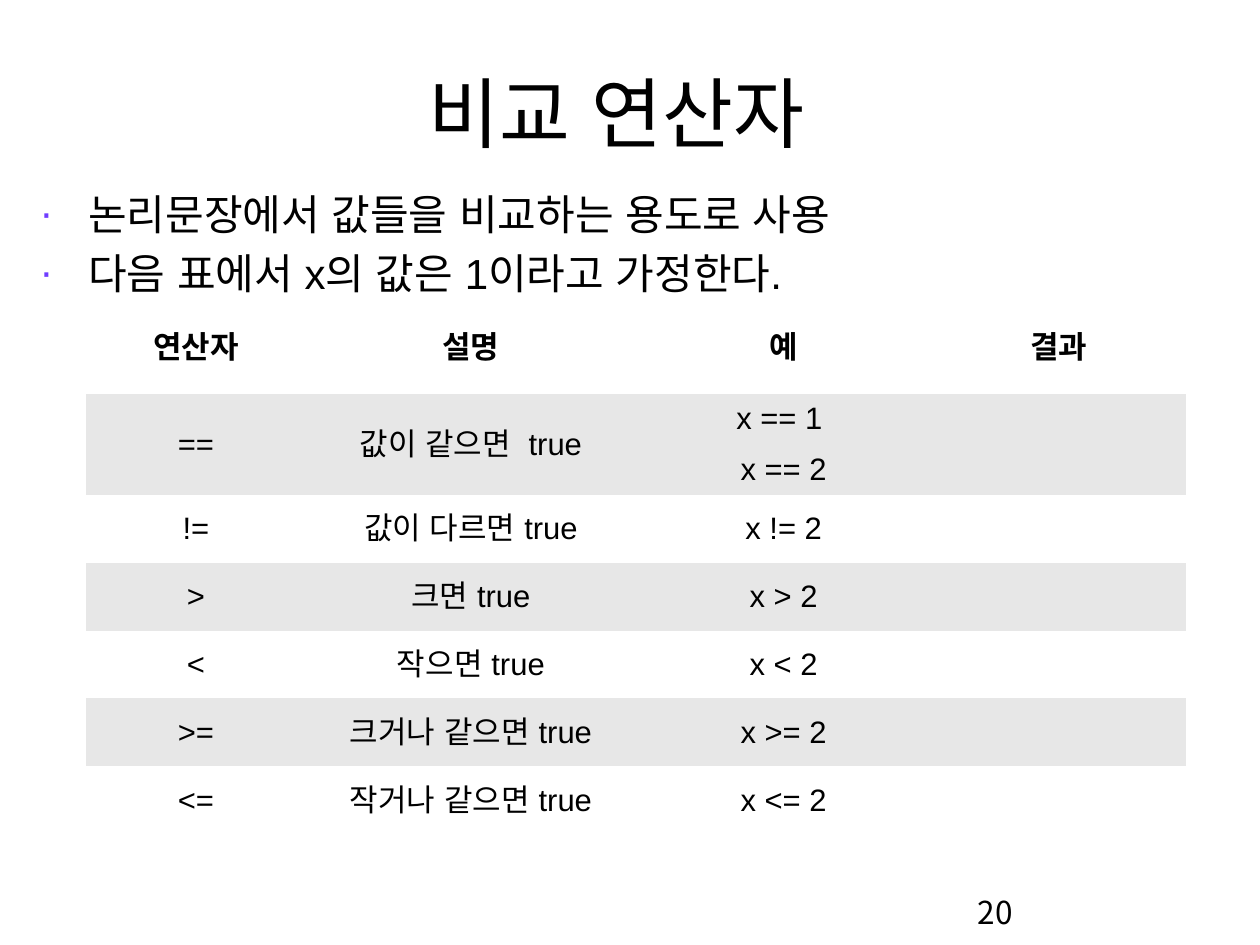
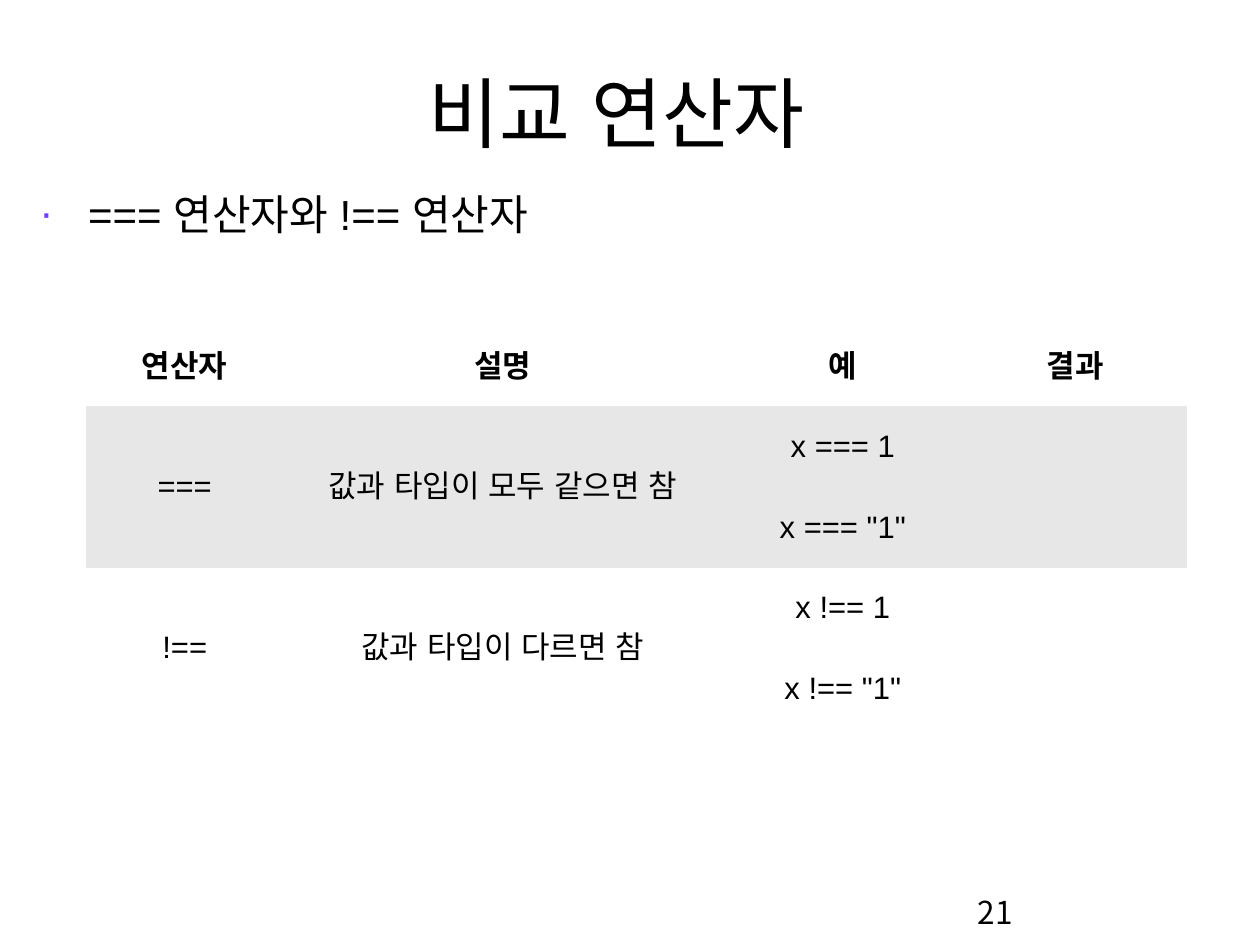
from dataclasses import dataclass

from lxml.etree import SubElement
from pptx import Presentation
from pptx.dml.color import RGBColor
from pptx.enum.text import MSO_ANCHOR, MSO_AUTO_SIZE, PP_ALIGN
from pptx.oxml.ns import qn
from pptx.util import Inches, Pt

# Content: each table row is operator, meaning, examples
HEADS = ["연산자", "설명", "예", "결과"]
SLIDES = [
    {
        "title": "비교 연산자",
        "points": ["논리문장에서 값들을 비교하는 용도로 사용",
                   "다음 표에서 x의 값은 1이라고 가정한다."],
        "cols": [2.26, 3.41, 3.04, 2.63],
        "head": MSO_ANCHOR.TOP,
        "tall": 0.7,
        "pair": 0.52,
        "rows": [
            ("==", "값이 같으면  true", ["x == 1 ", "x == 2"]),
            ("!=", "값이 다르면 true", ["x != 2"]),
            (">", "크면 true", ["x > 2"]),
            ("<", "작으면 true", ["x < 2"]),
            (">=", "크거나 같으면 true", ["x >= 2"]),
            ("<=", "작거나 같으면 true", ["x <= 2"]),
        ],
        "page": "20",
    },
    {
        "title": "비교 연산자",
        "points": ["=== 연산자와 !== 연산자"],
        "cols": [2.03, 4.53, 2.48, 2.31],
        "head": MSO_ANCHOR.MIDDLE,
        "tall": 0.83,
        "pair": 0.83,
        "rows": [
            ("===", "값과 타입이 모두 같으면 참", ["x === 1", 'x === "1"']),
            ("!==", "값과 타입이 다르면 참", ["x !== 1", 'x !== "1"']),
        ],
        "page": "21",
    },
]


@dataclass(frozen=True)
class Theme:
    ink: str = "000000"
    paper: str = "FFFFFF"
    band: str = "E7E7E7"
    dot: str = "703DFF"
    font: str = "Arial"
    page_font: str = "Noto Sans CJK KR"
    title: float = 57.2
    body: float = 31.2
    cell: float = 23
    page: float = 23.4


LOOK = Theme()
NO_GRID = "{2D5ABB26-0587-4C30-8999-92F81FD0307C}"


def write(frame, *lines, size, font=LOOK.font, bold=False,
          align=PP_ALIGN.LEFT, gap=0, dot=None):
    """Put one paragraph per line into a text frame."""
    for i, line in enumerate(lines):
        para = frame.add_paragraph() if i else frame.paragraphs[0]
        para.alignment = align
        para.space_before = Pt(gap if i else 0)
        run = para.add_run()
        run.text = line
        run.font.size, run.font.bold = Pt(size), bold
        run.font.name = font
        run.font.color.rgb = RGBColor.from_string(LOOK.ink)
        SubElement(run.font._element, qn("a:ea"), typeface=font)
        if dot:
            mark(para, dot)


def mark(para, color):
    """Give a paragraph a coloured bullet and a hanging indent."""
    props = para._p.get_or_add_pPr()
    props.set("marL", str(Inches(0.49)))
    props.set("indent", str(-Inches(0.49)))
    fill = SubElement(props, qn("a:buClr"))
    SubElement(fill, qn("a:srgbClr"), val=color)
    SubElement(props, qn("a:buFont"), typeface=LOOK.font)
    SubElement(props, qn("a:buChar"), char="∙")


def set_frame(shape, box, anchor):
    shape.left, shape.top, shape.width, shape.height = map(Inches, box)
    frame = shape.text_frame
    frame.word_wrap, frame.auto_size = True, MSO_AUTO_SIZE.NONE
    frame.vertical_anchor = anchor
    return frame


def add_text(slide, box, *lines, **style):
    shape = slide.shapes.add_textbox(0, 0, 0, 0)
    write(set_frame(shape, box, MSO_ANCHOR.TOP), *lines, **style)


def fill_cell(cell, text, anchor=MSO_ANCHOR.MIDDLE, bold=False):
    cell.vertical_anchor = anchor
    cell.margin_left = cell.margin_right = Inches(0.13)
    cell.margin_top = cell.margin_bottom = Inches(0.05)
    if text:
        write(cell.text_frame, text, size=LOOK.cell, bold=bold,
              align=PP_ALIGN.CENTER)


def add_grid(slide, data):
    # Row heights follow from the number of examples
    highs = [data["tall"]]
    for _, _, tests in data["rows"]:
        highs += [data["pair"] if len(tests) > 1 else data["tall"]] * len(tests)
    wides = data["cols"]
    table = slide.shapes.add_table(
        len(highs), len(wides), Inches(0.89), Inches(3.36),
        Inches(sum(wides)), Inches(sum(highs))).table
    table.horz_banding = False
    table._tbl.tblPr.find(qn("a:tableStyleId")).text = NO_GRID
    for col, wide in zip(table.columns, wides):
        col.width = Inches(wide)
    for row, high in zip(table.rows, highs):
        row.height = Inches(high)

    # Header
    for c, head in enumerate(HEADS):
        fill_cell(table.cell(0, c), head, anchor=data["head"], bold=True)
        table.cell(0, c).fill.background()

    # Operators, banded by group
    top = 1
    for n, (sign, note, tests) in enumerate(data["rows"]):
        last = top + len(tests) - 1
        color = LOOK.paper if n % 2 else LOOK.band
        for i, test in enumerate(tests):
            words = ("" if i else sign, "" if i else note, test, "")
            for c, text in enumerate(words):
                cell = table.cell(top + i, c)
                fill_cell(cell, text)
                cell.fill.solid()
                cell.fill.fore_color.rgb = RGBColor.from_string(color)
        if last > top:
            for c in (0, 1):
                table.cell(top, c).merge(table.cell(last, c))
        top = last + 1


def add_slide(deck, data):
    slide = deck.slides.add_slide(deck.slide_layouts[5])
    head = set_frame(slide.shapes.title, (1.05, 0.61, 10.61, 1.08),
                     MSO_ANCHOR.MIDDLE)
    write(head, data["title"], size=LOOK.title, align=PP_ALIGN.CENTER)
    add_text(slide, (0.32, 1.89, 12.32, 7.06), *data["points"],
             size=LOOK.body, gap=6.2, dot=LOOK.dot)
    add_grid(slide, data)
    add_text(slide, (9.98, 9.15, 2.68, 0.6), data["page"],
             size=LOOK.page, font=LOOK.page_font)


def main():
    deck = Presentation()
    deck.slide_width, deck.slide_height = Inches(12.99), Inches(9.74)
    for data in SLIDES:
        add_slide(deck, data)
    deck.save("out.pptx")


if __name__ == "__main__":
    main()
